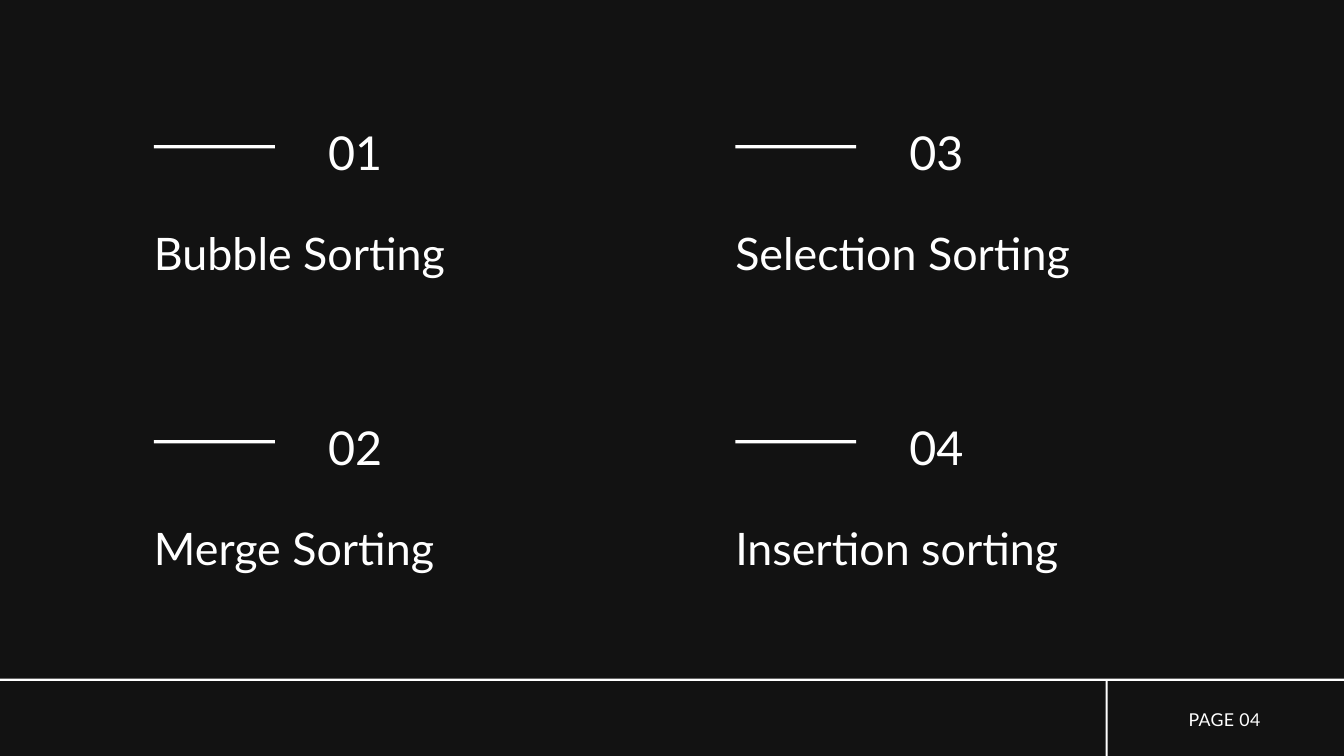
from dataclasses import dataclass

from pptx import Presentation
from pptx.dml.color import RGBColor
from pptx.enum.shapes import MSO_SHAPE
from pptx.enum.text import MSO_AUTO_SIZE, PP_ALIGN
from pptx.util import Pt


@dataclass(frozen=True)
class Theme:
    background: RGBColor = RGBColor(0x12, 0x12, 0x12)
    ink: RGBColor = RGBColor(0xFF, 0xFF, 0xFF)
    font: str = "Lato"
    number: float = 50
    title: float = 48
    page: float = 19
    leading: float = 1.4


class SlideBuilder:
    def __init__(self, slide, theme):
        self.s = slide
        self.theme = theme
        fill = slide.background.fill
        fill.solid()
        fill.fore_color.rgb = theme.background

    def text(self, x, y, w, h, text, size, align=PP_ALIGN.LEFT, tracking=None):
        tf = self.s.shapes.add_textbox(Pt(x), Pt(y), Pt(w), Pt(h)).text_frame
        tf.word_wrap = True
        tf.auto_size = MSO_AUTO_SIZE.SHAPE_TO_FIT_TEXT
        tf.margin_left = tf.margin_right = tf.margin_top = tf.margin_bottom = 0
        p = tf.paragraphs[0]
        p.alignment = align
        p.line_spacing = Pt(size * self.theme.leading)
        p.font.name = self.theme.font
        p.font.size = Pt(size)
        p.font.color.rgb = self.theme.ink
        r = p.add_run()
        r.text = text
        if tracking:
            r.font._element.set("spc", str(round(tracking * 100)))

    def bar(self, x, y, w, h):
        sp = self.s.shapes.add_shape(MSO_SHAPE.RECTANGLE, Pt(x), Pt(y), Pt(w), Pt(h))
        sp.shadow.inherit = False
        sp.fill.solid()
        sp.fill.fore_color.rgb = self.theme.ink
        sp.line.fill.background()

    def topic(self, x, y, number, title):
        self.text(x, y + 109.5, 540, 62.6, title, self.theme.title)
        self.text(x + 186.5, y, 123, 66.2, number, self.theme.number)
        self.bar(x, y + 32.4, 129.6, 3.4)


def main():
    prs = Presentation()
    prs.slide_width, prs.slide_height = Pt(1440), Pt(810)
    theme = Theme()
    page = SlideBuilder(prs.slides.add_slide(prs.slide_layouts[6]), theme)

    # Topics, numbered down each column
    left, top, column_step, row_step, rows = 165, 123.1, 622.8, 316.1, 2
    topics = ["Bubble Sorting", "Merge Sorting", "Selection Sorting", "Insertion sorting"]
    for i, title in enumerate(topics):
        column, row = divmod(i, rows)
        page.topic(left + column * column_step, top + row * row_step, f"{i + 1:02d}", title)

    # Footer
    page.bar(0, 727.2, 1440, 2.3)
    page.bar(1184.6, 729, 2.3, 81)
    page.text(1222, 756, 180, 25, "PAGE 04", theme.page, PP_ALIGN.CENTER, tracking=0.4)

    prs.save("out.pptx")


if __name__ == "__main__":
    main()
